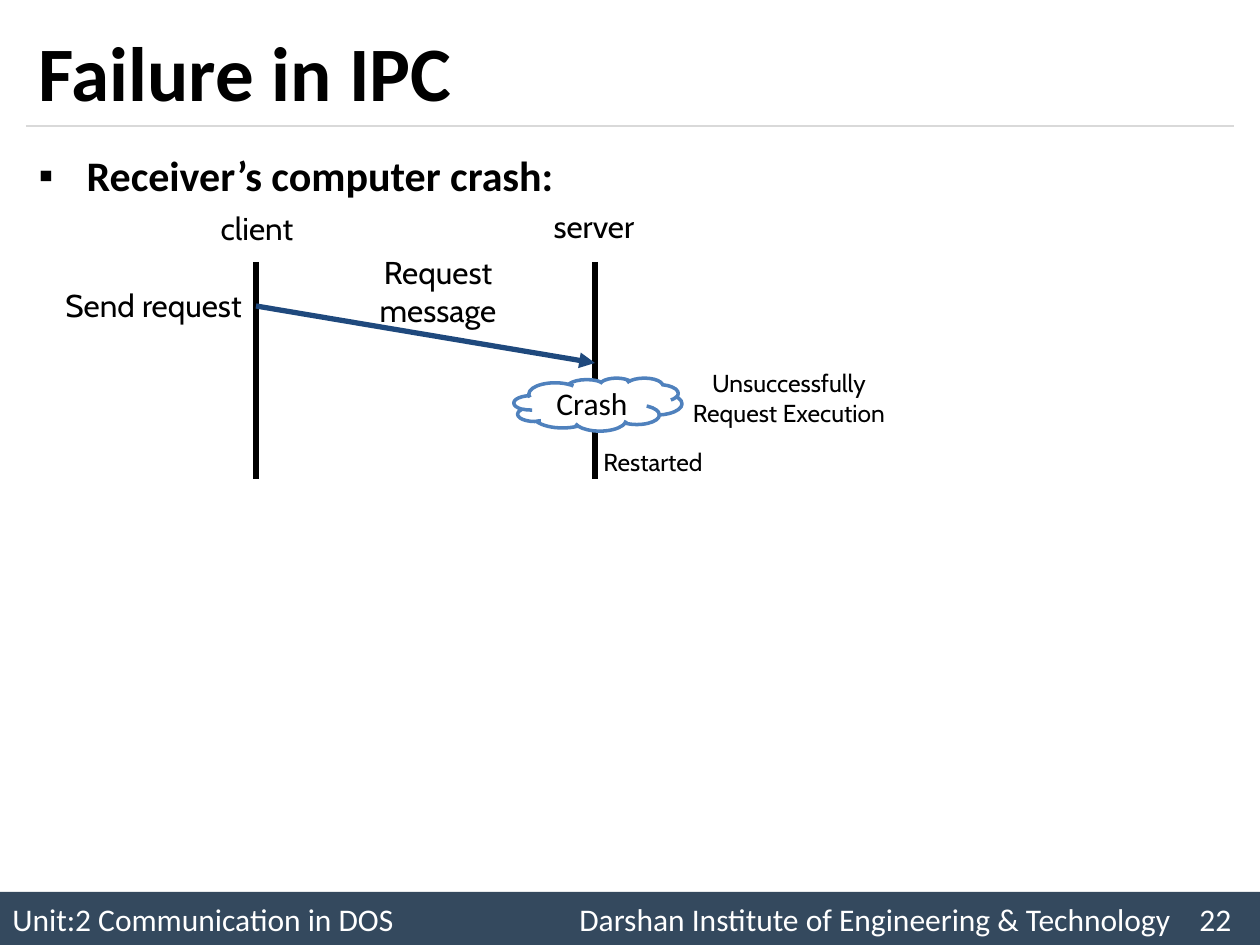
from lxml.etree import SubElement
from pptx import Presentation
from pptx.dml.color import RGBColor
from pptx.enum.shapes import MSO_CONNECTOR, MSO_SHAPE
from pptx.enum.text import MSO_ANCHOR, MSO_AUTO_SIZE, PP_ALIGN
from pptx.oxml.ns import qn
from pptx.util import Pt

PX = 914400 // 126  # EMU in one px
BLACK = RGBColor(0x00, 0x00, 0x00)
WHITE = RGBColor(0xFF, 0xFF, 0xFF)
SLATE = RGBColor(0x34, 0x49, 0x5E)
RULE_GREY = RGBColor(0xD9, 0xD9, 0xD9)
ARROW_BLUE = RGBColor(0x1F, 0x49, 0x7D)
CLOUD_BLUE = RGBColor(0x4F, 0x81, 0xBD)

CLIENT_X, SERVER_X = 256, 595
LIFELINE_TOP, LIFELINE_BOTTOM = 262, 479


def box(*lengths):
    return [length * PX for length in lengths]


def style(paragraph, size, face="Calibri", color=BLACK, bold=False, align=PP_ALIGN.LEFT):
    paragraph.alignment = align
    font = paragraph.font
    font.size, font.name, font.bold = Pt(size), face, bold
    font.color.rgb = color


def fill_placeholder(placeholder, bounds, text, anchor):
    placeholder.left, placeholder.top, placeholder.width, placeholder.height = box(*bounds)
    frame = placeholder.text_frame
    frame.text = text
    frame.auto_size = MSO_AUTO_SIZE.NONE
    frame.vertical_anchor = anchor
    return frame.paragraphs[0]


def add_bullet(paragraph, char, indent):
    props = paragraph._p.get_or_add_pPr()
    props.set("marL", str(indent * PX))
    props.set("indent", str(-indent * PX))
    SubElement(props, qn("a:buChar"), char=char)


def add_tabs(paragraph, *stops):
    tabs = SubElement(paragraph._p.get_or_add_pPr(), qn("a:tabLst"))
    for stop in stops:
        SubElement(tabs, qn("a:tab"), pos=str(stop * PX), algn="l")


def add_line(slide, start, end, color, width, arrow=False):
    line = slide.shapes.add_connector(MSO_CONNECTOR.STRAIGHT, *box(*start, *end))
    line.line.color.rgb = color
    line.line.width = Pt(width)
    if arrow:
        SubElement(line.line._get_or_add_ln(), qn("a:tailEnd"), type="triangle")
    SubElement(line._element.spPr, qn("a:effectLst"))


def add_label(slide, bounds, text, size=18, align=PP_ALIGN.CENTER):
    frame = slide.shapes.add_textbox(*box(*bounds)).text_frame
    frame.word_wrap = True
    frame.text = text
    style(frame.paragraphs[0], size, "Cabin", align=align)


def add_block(slide, kind, bounds, fill, text):
    block = slide.shapes.add_shape(kind, *box(*bounds))
    block.shadow.inherit = False
    block.fill.solid()
    block.fill.fore_color.rgb = fill
    block.line.fill.background()
    frame = block.text_frame
    frame.text = text
    frame.vertical_anchor = MSO_ANCHOR.MIDDLE
    return block, frame.paragraphs[0]


def add_footer(slide):
    text = "Unit:2 Communication in DOS\tDarshan Institute of Engineering & Technology\t22"
    _, line = add_block(slide, MSO_SHAPE.RECTANGLE, (0, 892, 1260, 53), SLATE, text)
    add_tabs(line, 567, 1187)
    style(line, 18, color=WHITE)


def add_crash_cloud(slide):
    cloud, word = add_block(slide, MSO_SHAPE.CLOUD, (514, 378, 168, 53), WHITE, "Crash")
    cloud.line.color.rgb = CLOUD_BLUE
    cloud.line.width = Pt(2)
    frame = cloud.text_frame
    frame.margin_left = frame.margin_right = frame.margin_top = frame.margin_bottom = 0
    style(word, 18, align=PP_ALIGN.CENTER)


def main():
    prs = Presentation()
    prs.slide_width, prs.slide_height = box(1260, 945)
    slide = prs.slides.add_slide(prs.slide_layouts[1])

    # Frame of the page
    add_footer(slide)
    add_line(slide, (26, 126), (1234, 126), RULE_GREY, 0.75)

    # Title and bullet
    title = fill_placeholder(slide.shapes.title, (26, 15, 1207, 111),
                             "Failure in IPC", MSO_ANCHOR.MIDDLE)
    style(title, 44, bold=True)
    bullet = fill_placeholder(slide.placeholders[1], (26, 136, 1207, 357),
                              "Receiver’s computer crash:", MSO_ANCHOR.TOP)
    add_bullet(bullet, "▪", 48)
    bullet.line_spacing = 1.14
    bullet.space_before = Pt(0)
    style(bullet, 24, bold=True, align=PP_ALIGN.JUSTIFY)

    # Lifelines and the request between them
    for x in (CLIENT_X, SERVER_X):
        add_line(slide, (x, LIFELINE_TOP), (x, LIFELINE_BOTTOM), BLACK, 3)
    add_line(slide, (CLIENT_X, 306), (SERVER_X, 363), ARROW_BLUE, 3, arrow=True)
    add_crash_cloud(slide)

    # Labels
    add_label(slide, (168, 203, 178, 63), "client")
    add_label(slide, (505, 201, 178, 63), "server")
    add_label(slide, (329, 247, 218, 89), "Request message")
    add_label(slide, (53, 280, 255, 50), "Send request", align=PP_ALIGN.LEFT)
    add_label(slide, (665, 362, 248, 72), "Unsuccessfully Request Execution", 14)
    add_label(slide, (529, 441, 248, 43), "Restarted", 14)

    prs.save("out.pptx")


if __name__ == "__main__":
    main()
